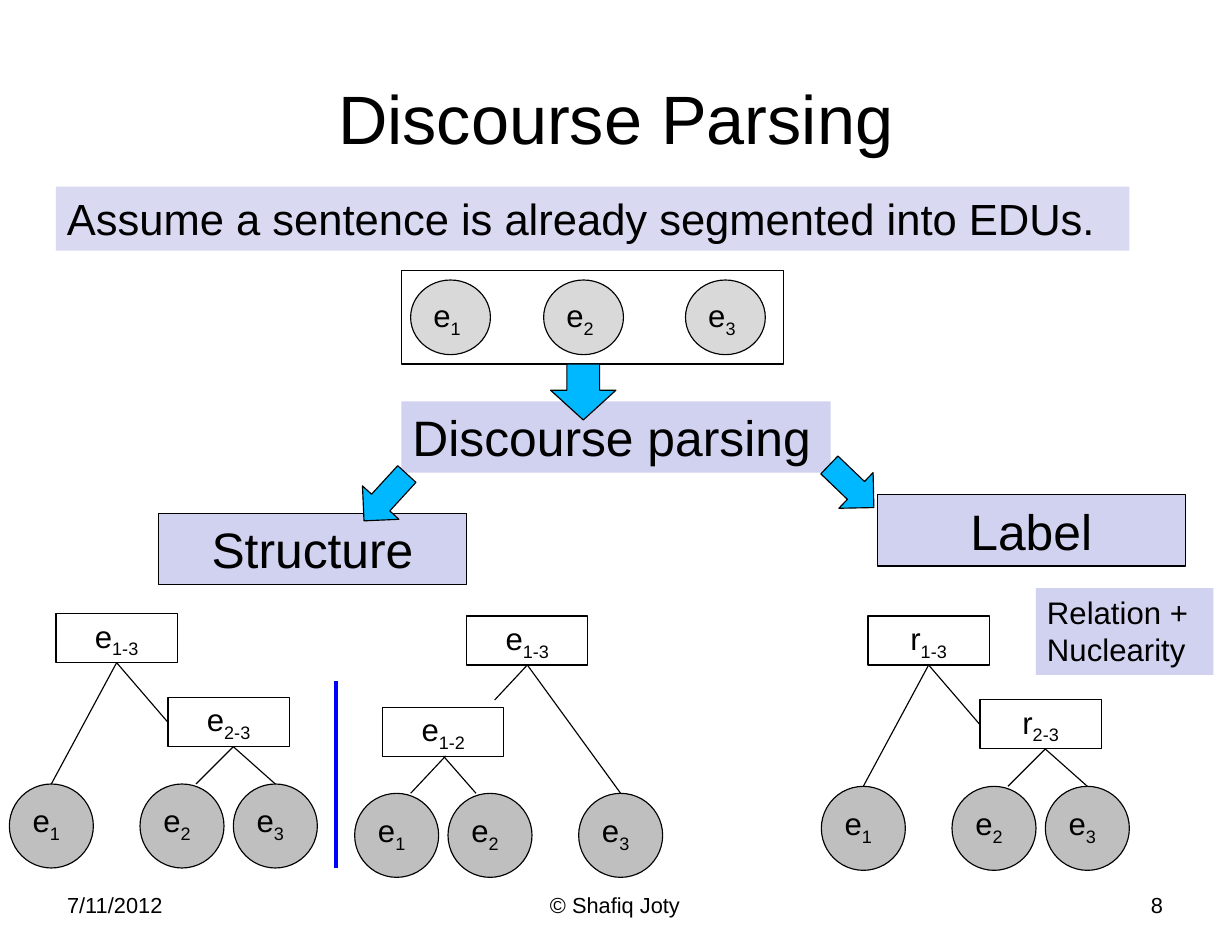
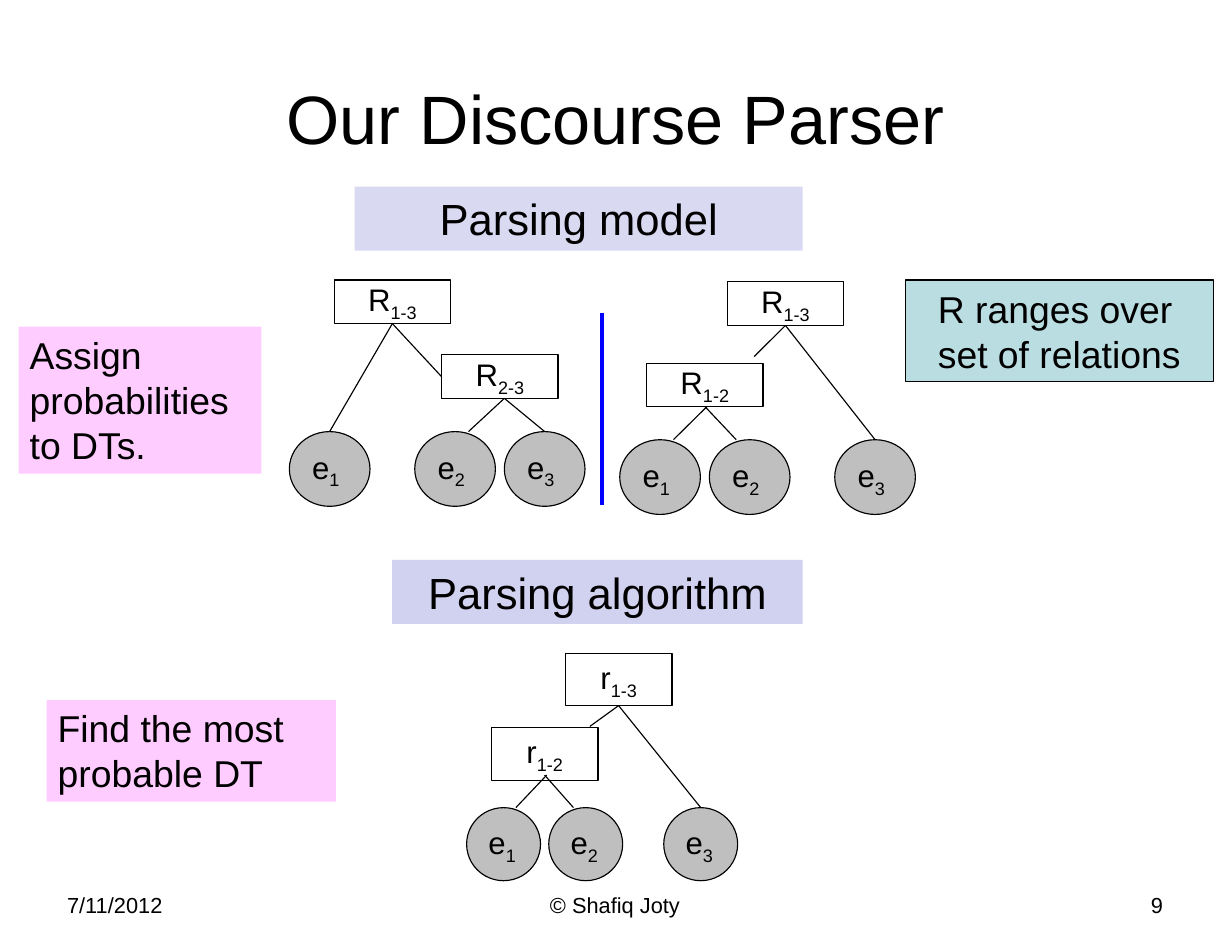
from lxml.etree import SubElement
from pptx import Presentation
from pptx.dml.color import RGBColor
from pptx.enum.shapes import MSO_CONNECTOR as CONNECTOR, MSO_SHAPE as SHAPE
from pptx.enum.text import MSO_ANCHOR as ANCHOR, MSO_AUTO_SIZE as AUTO_SIZE, PP_ALIGN as ALIGN
from pptx.oxml.ns import qn
from pptx.util import Inches, Pt

# Shared style: the grid has 12 columns and 12 rows to the inch
GRID = Inches(1) / 12
COLUMNS, ROWS = 132, 102
FONT = "Arial"
COLORS = {
    "black": "000000",
    "lavender": "D1D1F0",
    "periwinkle": "A3A3E0",
    "pink": "FFCCFF",
    "teal": "BADDE1",
    "leaf": "BFBFBF",
    "light leaf": "D9D9D9",
    "arrow": "00B8FF",
    "divider": "0000FF",
}


def add_box(slide, kind, place, lines=(), size=20, fill=None, outline=True,
            align=ALIGN.LEFT, anchor=ANCHOR.TOP):
    """Add a shape; in its text, an underscore starts a subscript."""
    shape = slide.shapes.add_shape(kind, *(round(GRID * length) for length in place))
    shape.shadow.inherit = False
    if fill:
        shape.fill.solid()
        shape.fill.fore_color.rgb = RGBColor.from_string(COLORS[fill])
    else:
        shape.fill.background()
    if outline:
        shape.line.color.rgb = RGBColor.from_string(COLORS["black"])
        shape.line.width = Pt(0.75)
    else:
        shape.line.fill.background()
    frame = shape.text_frame
    frame.word_wrap = True
    frame.vertical_anchor = anchor
    for index, line in enumerate(lines):
        paragraph = frame.add_paragraph() if index else frame.paragraphs[0]
        paragraph.alignment = align
        for part, text in enumerate(line.split("_")):
            run = paragraph.add_run()
            run.text = text
            run.font.name = FONT
            run.font.size = Pt(size)
            run.font.color.rgb = RGBColor.from_string(COLORS["black"])
            if part:
                run.font._element.set("baseline", "-25000")
    return shape


def add_line(slide, start_x, start_y, end_x, end_y, color="black", width=0.75):
    ends = (round(GRID * length) for length in (start_x, start_y, end_x, end_y))
    line = slide.shapes.add_connector(CONNECTOR.STRAIGHT, *ends)
    line.line.color.rgb = RGBColor.from_string(COLORS[color])
    line.line.width = Pt(width)
    SubElement(line._element.spPr, qn("a:effectLst"))


presentation = Presentation()
presentation.slide_width = round(GRID * COLUMNS)
presentation.slide_height = round(GRID * ROWS)

# Titles and footers
slides = []
for number, heading in enumerate(("Discourse Parsing", "Our Discourse Parser"), start=8):
    slide = presentation.slides.add_slide(presentation.slide_layouts[5])
    slides.append(slide)
    title = slide.shapes.title
    title.left, title.top = round(GRID * 6.6), round(GRID * 4.1)
    title.width, title.height = round(GRID * 118.8), round(GRID * 17)
    title.text_frame.auto_size = AUTO_SIZE.NONE
    title.text_frame.vertical_anchor = ANCHOR.MIDDLE
    paragraph = title.text_frame.paragraphs[0]
    paragraph.alignment = ALIGN.CENTER
    run = paragraph.add_run()
    run.text = heading
    run.font.name = FONT
    run.font.size = Pt(44)
    run.font.color.rgb = RGBColor.from_string(COLORS["black"])
    for left, width, text, align in (
        (6, 30.8, "7/11/2012", ALIGN.LEFT),
        (45, 41.8, "© Shafiq Joty", ALIGN.CENTER),
        (95, 30.8, str(number), ALIGN.RIGHT),
    ):
        add_box(slide, SHAPE.RECTANGLE, (left, 94.9, width, 7.1), [text], 14,
                outline=False, align=align)
parsing_slide, parser_slide = slides

# Bands and notes without outline
for slide, place, lines, size, fill, align in (
    (parsing_slide, (6, 20, 115, 6.85),
     ["Assume a sentence is already segmented into EDUs."], 28, "periwinkle", ALIGN.LEFT),
    (parsing_slide, (43, 43, 46, 7.65), ["Discourse parsing"], 32, "lavender", ALIGN.LEFT),
    (parsing_slide, (111, 63, 19, 9.3), ["Relation +", "Nuclearity"], 20, "lavender", ALIGN.LEFT),
    (parser_slide, (38, 20, 48, 6.85), ["Parsing model"], 28, "periwinkle", ALIGN.CENTER),
    (parser_slide, (42, 60, 44, 6.85), ["Parsing algorithm"], 28, "lavender", ALIGN.CENTER),
    (parser_slide, (2, 35, 26, 15.75), ["Assign probabilities to DTs."], 24, "pink", ALIGN.LEFT),
    (parser_slide, (5, 75, 31, 10.9), ["Find the most probable DT"], 24, "pink", ALIGN.LEFT),
):
    band = add_box(slide, SHAPE.RECTANGLE, place, lines, size, fill, False, align)
    if fill == "periwinkle":
        color = band._element.spPr.find(qn("a:solidFill"))[0]
        SubElement(color, qn("a:alpha"), val="41000")

# Outlined result boxes
for left, top, text in ((94, 53, "Label"), (17, 55, "Structure")):
    add_box(parsing_slide, SHAPE.RECTANGLE, (left, top, 33, 7.65), [text], 32,
            "lavender", align=ALIGN.CENTER, anchor=ANCHOR.MIDDLE)
relations = add_box(parser_slide, SHAPE.RECTANGLE, (97, 30, 33, 10.9),
                    ["R ranges over set of relations"], 24, "teal", anchor=ANCHOR.MIDDLE)
relations.text_frame.margin_left = Inches(0.29)

# Input units and the arrows that lead on from them
for index, left in enumerate((44, 58.25, 73.45), start=1):
    add_box(parsing_slide, SHAPE.OVAL, (left, 30, 8.55, 8), [f"e_{index}"], fill="light leaf")
add_box(parsing_slide, SHAPE.RECTANGLE, (43, 29, 41, 10))
for place, rotation, head in (
    ((59, 39, 7, 6), 0, 0.53),
    ((38.65, 49.9, 5.3, 6.8), 42.5, 0.5),
    ((88.6, 48.8, 5.3, 6.6), 313.8, 0.5),
):
    arrow = add_box(parsing_slide, SHAPE.DOWN_ARROW, place, fill="arrow")
    arrow.rotation = rotation
    arrow.adjustments[1] = head

# Tree forms in grid units from the top left corner; each edge is start x, end x, end y
LEAF, BOX_WIDTH, BOX_HEIGHT = 9, 13, 5.25
TREES = {
    "right": {
        "leaves": (0, 14, 24), "leaf top": 18.25, "root": 5,
        "inner": 17, "inner middle": 11.6, "inner base": 14.25, "span": "2-3",
        "root edges": ((11.5, 4.5, 18.25), (11.5, 17, 11.65)),
        "inner edges": ((24, 20, 18.25), (24, 28.5, 18.25)),
    },
    "left": {
        "leaves": (0, 10, 24), "leaf top": 19, "root": 12,
        "inner": 3, "inner middle": 12.4, "inner base": 15, "span": "1-2",
        "root edges": ((18.5, 15, 9), (18.5, 28.5, 19)),
        "inner edges": ((9.75, 6, 19), (9.5, 13, 19)),
    },
}

# Trees: slide, form, node letter, corner, horizontal and vertical scale, box height
for slide, form, letter, x, y, scale_x, scale_y, height in (
    (parsing_slide, "right", "e", 1, 65.75, 1, 1, BOX_HEIGHT),
    (parsing_slide, "left", "e", 38, 66, 1, 1, BOX_HEIGHT),
    (parsing_slide, "right", "r", 88, 66, 1, 1, BOX_HEIGHT),
    (parser_slide, "right", "R", 31, 30, 0.96, 0.89, BOX_HEIGHT * 0.89),
    (parser_slide, "left", "R", 66.4, 30.2, 0.96, 0.89, BOX_HEIGHT * 0.89),
    (parser_slide, "left", "r", 50, 70, 0.88, 0.87, 5.6),
):
    tree = TREES[form]
    for index, left in enumerate(tree["leaves"], start=1):
        place = (x + left * scale_x, y + tree["leaf top"] * scale_y, LEAF * scale_x, LEAF * scale_y)
        add_box(slide, SHAPE.OVAL, place, [f"e_{index}"], fill="leaf")
    inner_top = y + tree["inner middle"] * scale_y - height / 2
    for left, top, span in ((tree["root"], y, "1-3"), (tree["inner"], inner_top, tree["span"])):
        add_box(slide, SHAPE.RECTANGLE, (x + left * scale_x, top, BOX_WIDTH * scale_x, height),
                [f"{letter}_{span}"], align=ALIGN.CENTER, anchor=ANCHOR.MIDDLE)
    inner_base = y + tree["inner base"] * scale_y
    for edges, start_y in ((tree["root edges"], y + height), (tree["inner edges"], inner_base)):
        for start_x, end_x, end_y in edges:
            add_line(slide, x + start_x * scale_x, start_y, x + end_x * scale_x, y + end_y * scale_y)

# Dividers between alternative trees
add_line(parsing_slide, 36, 73, 36, 93, "divider", 2.5)
add_line(parser_slide, 64.5, 33.5, 64.5, 54.1, "divider", 2.5)

presentation.save("out.pptx")
